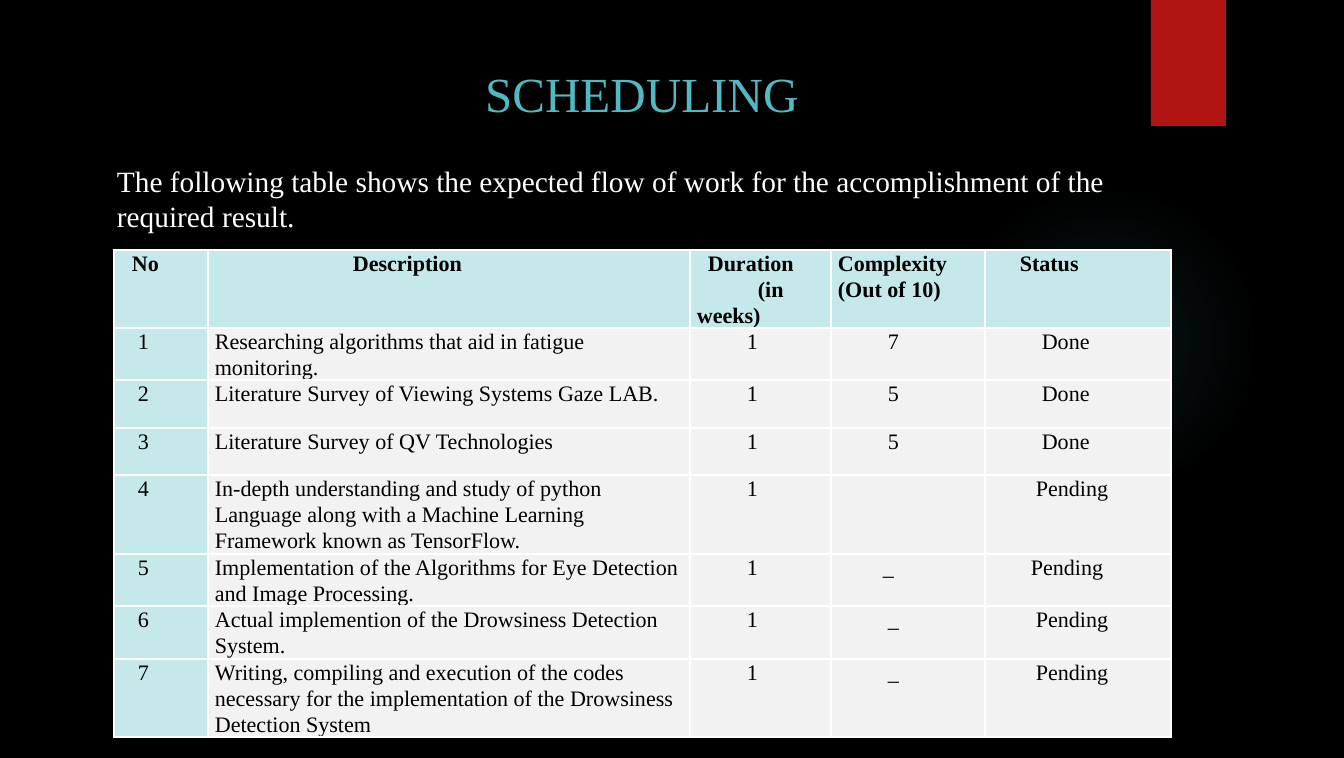
import pptx
import pptx.util
import pptx.dml.color
import pptx.enum.shapes
import pptx.enum.text
import pptx.oxml
import pptx.oxml.ns

TITLE = "SCHEDULING"
INTRO = ("The following table shows the expected flow of work for the "
         "accomplishment of the required result.")
HEADS = ["No", "Description", "Duration\n(in weeks)",
         "Complexity (Out of 10)", "Status"]
TASKS = [
    ("Researching algorithms that aid in fatigue monitoring.", "1", "7", "Done"),
    ("Literature Survey of Viewing Systems Gaze LAB.", "1", "5", "Done"),
    ("Literature Survey of QV Technologies", "1", "5", "Done"),
    ("In-depth understanding and study of python Language along with a "
     "Machine Learning Framework known as TensorFlow.", "1", "", "Pending"),
    ("Implementation of the Algorithms for Eye Detection and Image "
     "Processing.", "1", "_", "Pending"),
    ("Actual implemention of the Drowsiness Detection System.",
     "1", "_", "Pending"),
    ("Writing, compiling and execution of the codes necessary for the "
     "implementation of the Drowsiness Detection System", "1", "_", "Pending"),
]
COLORS = {"back": "000000", "teal": "50B9C1", "red": "B01513",
          "white": "FFFFFF", "ink": "000000", "head": "C5E8EA",
          "body": "F2F2F2"}
FONT = "Times New Roman"

# All lengths in px
WIDTHS = [94, 482, 141, 154, 186]
HEIGHTS = [78, 52, 48, 47, 79, 52, 53, 78]
LINE = 26
HEAD_LEADS = [(11,), (138,), (11, 61), (0,), (28,)]
LEADS = [17, 0, 50, 50, 50]
MOVED = {(4, 4): 44, (5, 3): 45, (5, 4): 39, (6, 4): 44, (7, 4): 44}
GLOW = [(0, 7), (36, 6), (69, 0)]  # stop %, opacity %
SCALE = 914400 / 176.4


def px(n):
    return pptx.util.Emu(round(n * SCALE))


def rgb(name):
    return pptx.dml.color.RGBColor.from_string(COLORS[name])


def xml(text):
    return pptx.oxml.parse_xml(
        text.replace(" ", f' {pptx.oxml.ns.nsdecls("a")} ', 1))


def place(shape, left, top, width, height):
    shape.left, shape.top = px(left), px(top)
    shape.width, shape.height = px(width), px(height)


def pad(frame, left, top, right, bottom):
    frame.margin_left, frame.margin_top = px(left), px(top)
    frame.margin_right, frame.margin_bottom = px(right), px(bottom)


def style(para, size, color, bold=False):
    font = para.font
    font.name, font.size, font.bold = FONT, pptx.util.Pt(size), bold
    font.color.rgb = rgb(color)
    para.alignment = pptx.enum.text.PP_ALIGN.LEFT


def add_plain(slide, kind, *box):
    shape = slide.shapes.add_shape(kind, *map(px, box))
    shape.shadow.inherit = False
    shape.line.fill.background()
    return shape


def add_decor(slide):
    kinds = pptx.enum.shapes.MSO_SHAPE
    glow = add_plain(slide, kinds.OVAL, 949, 185, 310, 312)
    stops = "".join(
        f'<a:gs pos="{at * 1000}"><a:srgbClr val="{COLORS["teal"]}">'
        f'<a:alpha val="{part * 1000}"/></a:srgbClr></a:gs>'
        for at, part in GLOW)
    fill = xml(f'<a:gradFill rotWithShape="1"><a:gsLst>{stops}</a:gsLst>'
               '<a:path path="circle"><a:fillToRect l="50000" t="50000" '
               'r="50000" b="50000"/></a:path></a:gradFill>')
    glow._element.spPr.insert(2, fill)
    flag = add_plain(slide, kinds.RECTANGLE, 1151, 0, 75, 126)
    flag.fill.solid()
    flag.fill.fore_color.rgb = rgb("red")


def add_text(slide):
    title = slide.shapes.title
    place(title, 27, 56, 1205, 676)
    frame = title.text_frame
    frame.text = TITLE
    frame.auto_size = pptx.enum.text.MSO_AUTO_SIZE.NONE
    frame.vertical_anchor = pptx.enum.text.MSO_ANCHOR.TOP
    pad(frame, 458, 8, 16, 8)
    style(frame.paragraphs[0], 20, "teal")

    intro = slide.shapes.add_textbox(*map(px, (99, 85, 1102, 261)))
    frame = intro.text_frame
    frame.text = INTRO
    frame.word_wrap = True
    frame.vertical_anchor = pptx.enum.text.MSO_ANCHOR.MIDDLE
    pad(frame, 18, 0, 16, 34)
    style(frame.paragraphs[0], 12, "white")


def fill_cell(cell, text, leads, fill, bold):
    """Write one cell; leads are the first-line indents of its paragraphs."""
    pad(cell, 7, 0, 7, 0)
    props = cell._tc.get_or_add_tcPr()
    for side in "LRTB":
        props.append(xml(
            f'<a:ln{side} w="12700"><a:solidFill><a:srgbClr '
            f'val="{COLORS["white"]}"/></a:solidFill></a:ln{side}>'))
    cell.fill.solid()
    cell.fill.fore_color.rgb = rgb(fill)
    cell.text_frame.text = text
    for para, lead in zip(cell.text_frame.paragraphs, leads):
        style(para, 9, "ink", bold)
        para.line_spacing = px(LINE)
        para._p.get_or_add_pPr().set("indent", str(px(lead)))


def add_plan(slide):
    rows = [HEADS] + [(str(n), *task) for n, task in enumerate(TASKS, 1)]
    frame = slide.shapes.add_table(
        len(rows), len(HEADS), px(114), px(250),
        px(sum(WIDTHS)), px(sum(HEIGHTS)))
    table = frame.table
    for col, width in zip(table.columns, WIDTHS):
        col.width = px(width)
    for row, height in zip(table.rows, HEIGHTS):
        row.height = px(height)
    for r, row in enumerate(rows):
        for c, text in enumerate(row):
            leads = (MOVED.get((r, c), LEADS[c]),) if r else HEAD_LEADS[c]
            fill = "body" if r and c else "head"
            fill_cell(table.cell(r, c), text, leads, fill, r == 0)


def main():
    deck = pptx.Presentation()
    deck.slide_width, deck.slide_height = px(1344), px(758)
    slide = deck.slides.add_slide(deck.slide_layouts[5])
    slide.background.fill.solid()
    slide.background.fill.fore_color.rgb = rgb("back")
    add_decor(slide)
    add_text(slide)
    add_plan(slide)
    deck.save("out.pptx")


if __name__ == "__main__":
    main()
